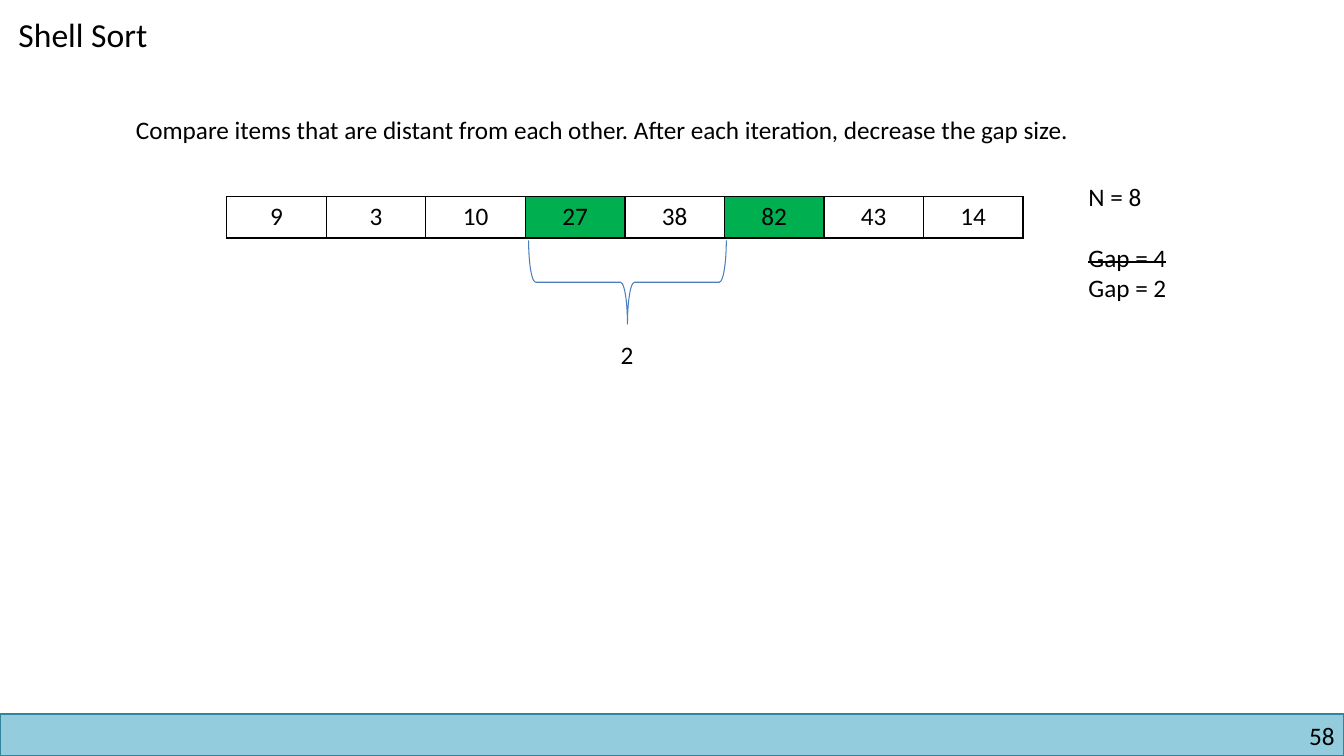
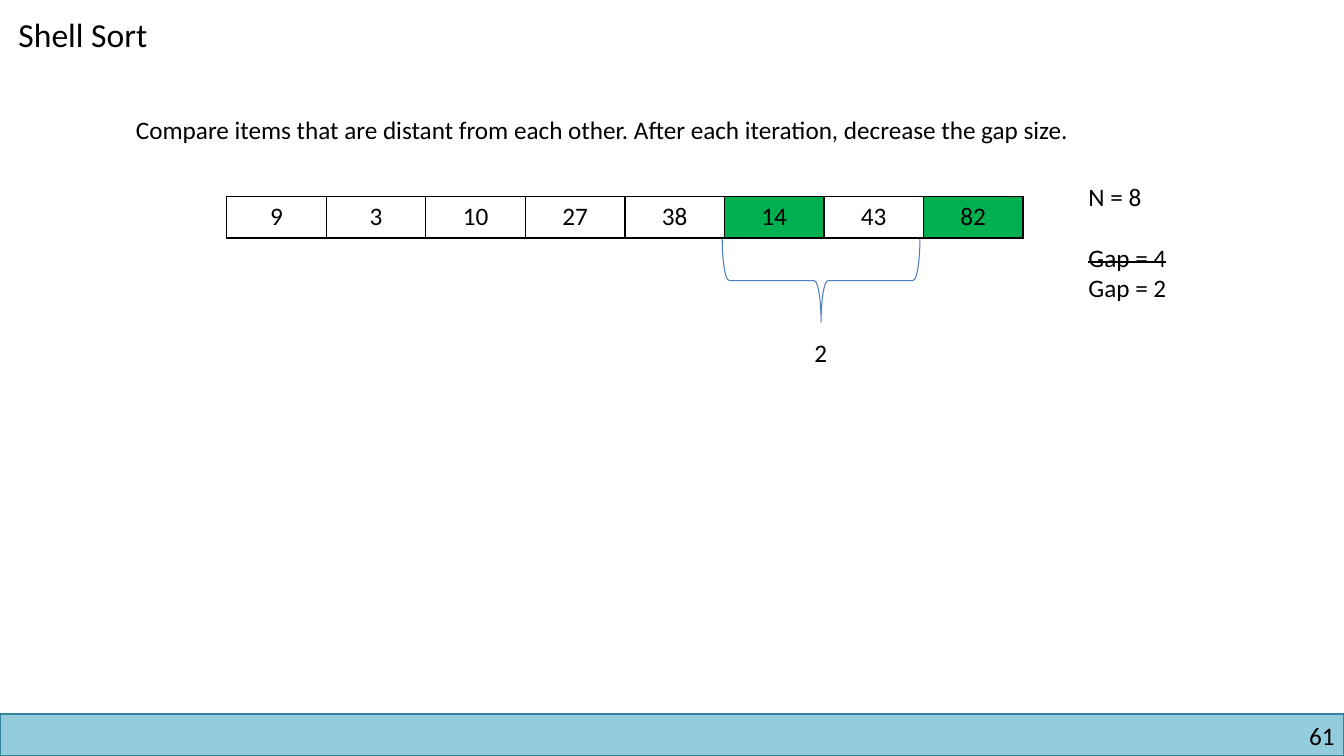
"""Build two Shell Sort slides that show compared items at a gap of two."""
from lxml import etree
from pptx import Presentation
from pptx.dml.color import RGBColor
from pptx.enum import shapes, text
from pptx.oxml import ns
from pptx.util import Pt

BLACK, WHITE, GREEN = "000000", "FFFFFF", "00B050"
BAND, BAND_LINE, BRACE = "93CDDD", "31859C", "4B7EBC"
FONT = "Calibri"
CELL_W, CELL_H = 71.1, 29.5
INTRO = ("Compare items that are distant from each other. "
         "After each iteration, decrease the gap size.")
STEPS = [
    ("58", [9, 3, 10, 27, 38, 82, 43, 14], (3, 5), (418.3, 131)),
    ("61", [9, 3, 10, 27, 38, 14, 43, 82], (5, 7), (556.6, 129.8)),
]


def paint(color_format, color):
    color_format.rgb = RGBColor.from_string(color)


def add_run(p, words, size=18):
    r = p.add_run()
    r.text = words
    r.font.name, r.font.size, r.font.bold = FONT, Pt(size), False
    paint(r.font.color, BLACK)
    return r


prs = Presentation()
prs.slide_width, prs.slide_height = Pt(960), Pt(540)

for number, values, compared, (brace_x, brace_y) in STEPS:
    s = prs.slides.add_slide(prs.slide_layouts[5])

    band = s.shapes.add_shape(shapes.MSO_SHAPE.RECTANGLE, Pt(0), Pt(510), Pt(960), Pt(30))
    band.shadow.inherit = False
    band.fill.solid()
    paint(band.fill.fore_color, BAND)
    paint(band.line.color, BAND_LINE)
    band.line.width = Pt(1)

    title = s.shapes.title
    title.left, title.top, title.width, title.height = Pt(6), Pt(6), Pt(400), Pt(36)
    tf = title.text_frame
    tf.vertical_anchor = text.MSO_ANCHOR.TOP
    tf.paragraphs[0].alignment = text.PP_ALIGN.LEFT
    add_run(tf.paragraphs[0], "Shell Sort", 24)

    grid = s.shapes.add_table(1, len(values), Pt(162), Pt(140.5),
                              Pt(CELL_W * len(values)), Pt(CELL_H)).table
    grid.first_row = grid.horz_banding = False
    for i, value in enumerate(values):
        grid.columns[i].width = Pt(CELL_W)
        cell = grid.cell(0, i)
        tcPr = cell._tc.get_or_add_tcPr()
        for side in ("lnL", "lnR", "lnT", "lnB"):
            ln = etree.SubElement(tcPr, ns.qn("a:" + side), w=str(Pt(1)))
            fill = etree.SubElement(ln, ns.qn("a:solidFill"))
            etree.SubElement(fill, ns.qn("a:srgbClr"), val=BLACK)
        cell.fill.solid()
        paint(cell.fill.fore_color, GREEN if i in compared else WHITE)
        p = cell.text_frame.paragraphs[0]
        p.alignment = text.PP_ALIGN.CENTER
        add_run(p, str(value))

    brace = s.shapes.add_shape(shapes.MSO_SHAPE.LEFT_BRACE,
                               Pt(brace_x), Pt(brace_y), Pt(59.8), Pt(141.2))
    brace.rotation = 270
    brace.shadow.inherit = False
    brace.fill.background()
    paint(brace.line.color, BRACE)
    brace.line.width = Pt(0.75)

    for lines, x, y, w, h in [
        ([INTRO], 90, 78, 746, 29),
        (["N = 8", "Gap = 4", "Gap = 2"], 770.4, 126, 80, 94.5),
        (["2"], brace_x + 18, brace_y + 107.6, 24.5, 29),
        ([number], 732, 511.2, 228.5, 29),
    ]:
        tf = s.shapes.add_textbox(Pt(x), Pt(y), Pt(w), Pt(h)).text_frame
        tf.word_wrap = lines == [number]
        for i, words in enumerate(lines):
            p = tf.paragraphs[0] if i == 0 else tf.add_paragraph()
            p.alignment = text.PP_ALIGN.RIGHT if words == number else text.PP_ALIGN.LEFT
            r = add_run(p, words)
            if words == "Gap = 4":
                p.space_before = Pt(22)
                r._r.get_or_add_rPr().set("strike", "sngStrike")

prs.save("out.pptx")
